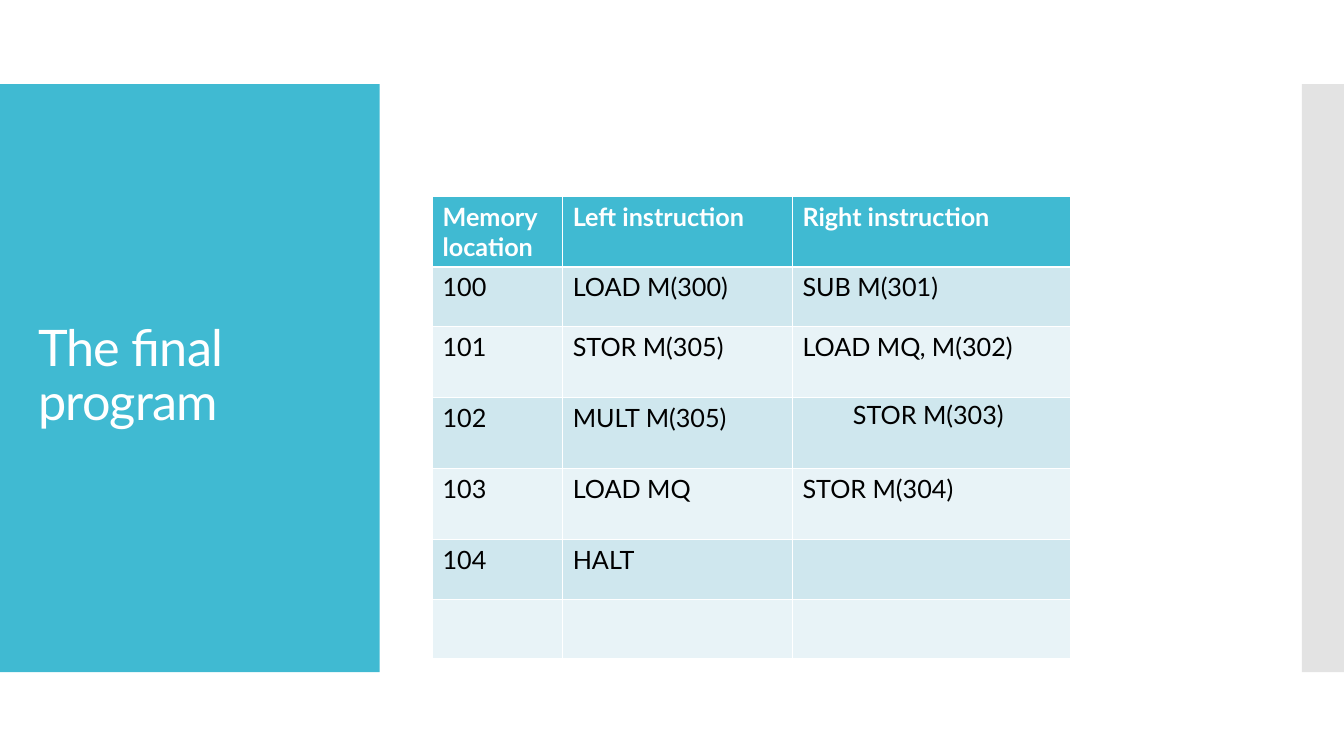
from pptx import Presentation
from pptx import util as u
from pptx.dml.color import RGBColor
from pptx.enum import shapes, text
from pptx.oxml.ns import qn
from lxml import etree

TITLE = "The final program"
ROWS = [
    ("Memory location", "Left instruction", "Right instruction"),
    ("100", "LOAD M(300)", "SUB M(301)"),
    ("101", "STOR M(305)", "LOAD MQ, M(302)"),
    ("102", "MULT M(305)", "STOR M(303)"),
    ("103", "LOAD MQ", "STOR M(304)"),
    ("104", "HALT", ""),
    ("", "", ""),
]
INSET = (3, 2)  # row and column of the indented entry
WIDTHS = (3.28, 5.79, 7.01)
LOW, HIGH = 1.5, 1.79
HEIGHTS = (1.75, LOW, HIGH, HIGH, HIGH, LOW, LOW)
TEAL, GREY, WHITE, BLACK = "40BAD2", "C8C8C8", "FFFFFF", "000000"
BANDS = ("E8F3F7", "CFE7EE")
WIDE, TALL = 33.87, 19.05
TOP, DEEP = 2.12, 14.82


def paint(fill, color):
    fill.solid()
    fill.fore_color.rgb = RGBColor.from_string(color)


def write(frame, words, size=18, color=BLACK, bold=False, space=None):
    frame.text = words
    para = frame.paragraphs[0]
    para.alignment = text.PP_ALIGN.LEFT
    for run in para.runs:
        run.font.name = "Lato"
        run.font.size = u.Pt(size)
        run.font.bold = bold
        run.font.color.rgb = RGBColor.from_string(color)
        if space is not None:
            run.font._element.set("spc", str(space))
    return para


def panel(slide, left, width, color, alpha=100):
    """Add a plain side panel, with its opacity in percent."""
    box = slide.shapes.add_shape(
        shapes.MSO_SHAPE.RECTANGLE,
        u.Cm(left), u.Cm(TOP), u.Cm(width), u.Cm(DEEP))
    box.shadow.inherit = False
    box.line.fill.background()
    paint(box.fill, color)
    if alpha < 100:
        tint = box._element.spPr.find(".//" + qn("a:srgbClr"))
        etree.SubElement(tint, qn("a:alpha")).set("val", str(alpha * 1000))


def head(slide):
    title = slide.shapes.title
    title.left, title.top = u.Cm(0.71), u.Cm(3.12)
    title.width, title.height = u.Cm(8.18), u.Cm(12.78)
    frame = title.text_frame
    para = write(frame, TITLE, size=36, color=WHITE, space=-60)
    para.line_spacing = 0.9
    frame.word_wrap = True
    frame.auto_size = text.MSO_AUTO_SIZE.NONE
    frame.vertical_anchor = text.MSO_ANCHOR.MIDDLE
    slide.shapes._spTree.append(title._element)  # in front of the panel


def grid(slide):
    table = slide.shapes.add_table(
        len(ROWS), len(WIDTHS), u.Cm(10.9), u.Cm(4.95),
        u.Cm(sum(WIDTHS)), u.Cm(sum(HEIGHTS))).table
    for col, width in zip(table.columns, WIDTHS):
        col.width = u.Cm(width)
    for r, (row, height) in enumerate(zip(ROWS, HEIGHTS)):
        table.rows[r].height = u.Cm(height)
        top = r == 0
        for c, words in enumerate(row):
            cell = table.cell(r, c)
            paint(cell.fill, TEAL if top else BANDS[r % 2])
            para = write(cell.text_frame, words, bold=top,
                         color=WHITE if top else BLACK)
            if (r, c) == INSET:
                para.level = 1
                para.line_spacing = 0.9
                para.space_before = para.space_after = u.Pt(2.5)
                para._p.get_or_add_pPr().set("marL", str(u.Cm(1.27)))
                para._p.get_or_add_pPr().set("indent", "0")


def main():
    deck = Presentation()
    deck.slide_width, deck.slide_height = u.Cm(WIDE), u.Cm(TALL)
    slide = deck.slides.add_slide(deck.slide_layouts[5])
    panel(slide, 0, 9.57, TEAL)
    panel(slide, 32.81, WIDE - 32.81, GREY, alpha=50)
    head(slide)
    grid(slide)
    deck.save("out.pptx")


if __name__ == "__main__":
    main()
